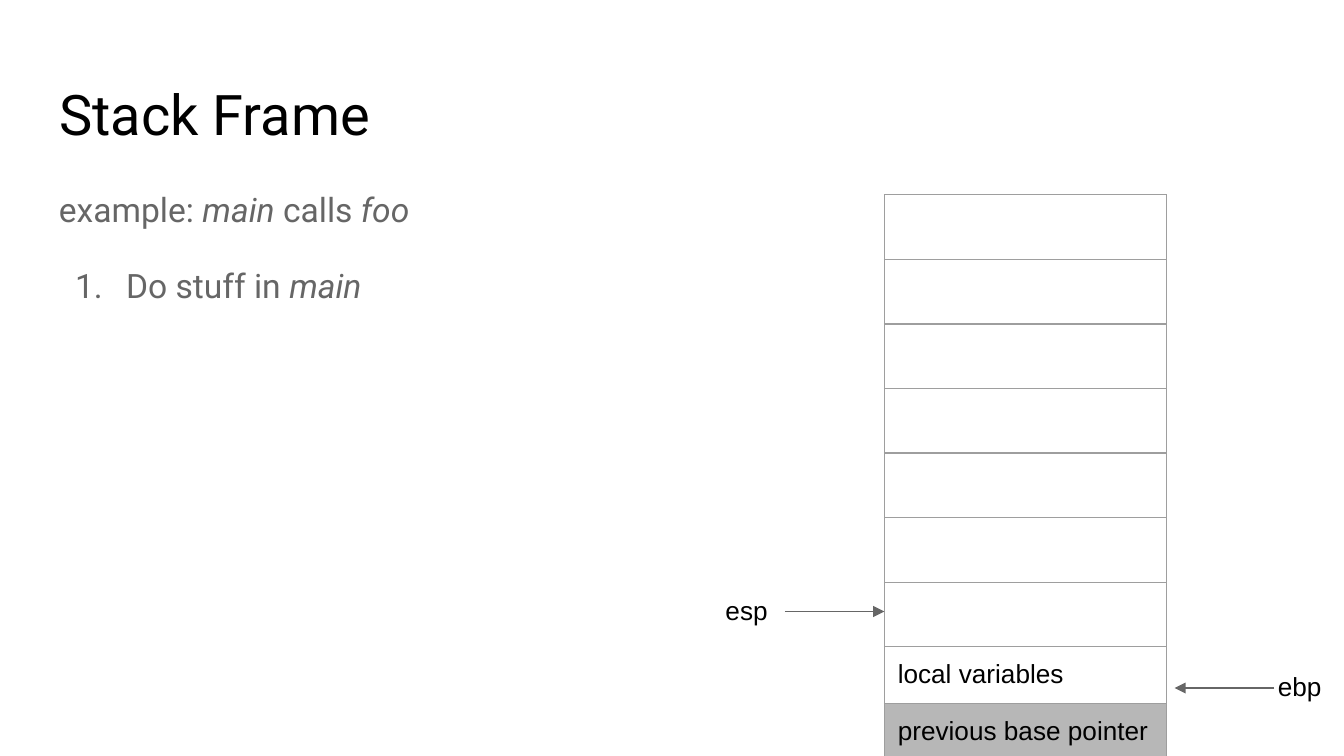
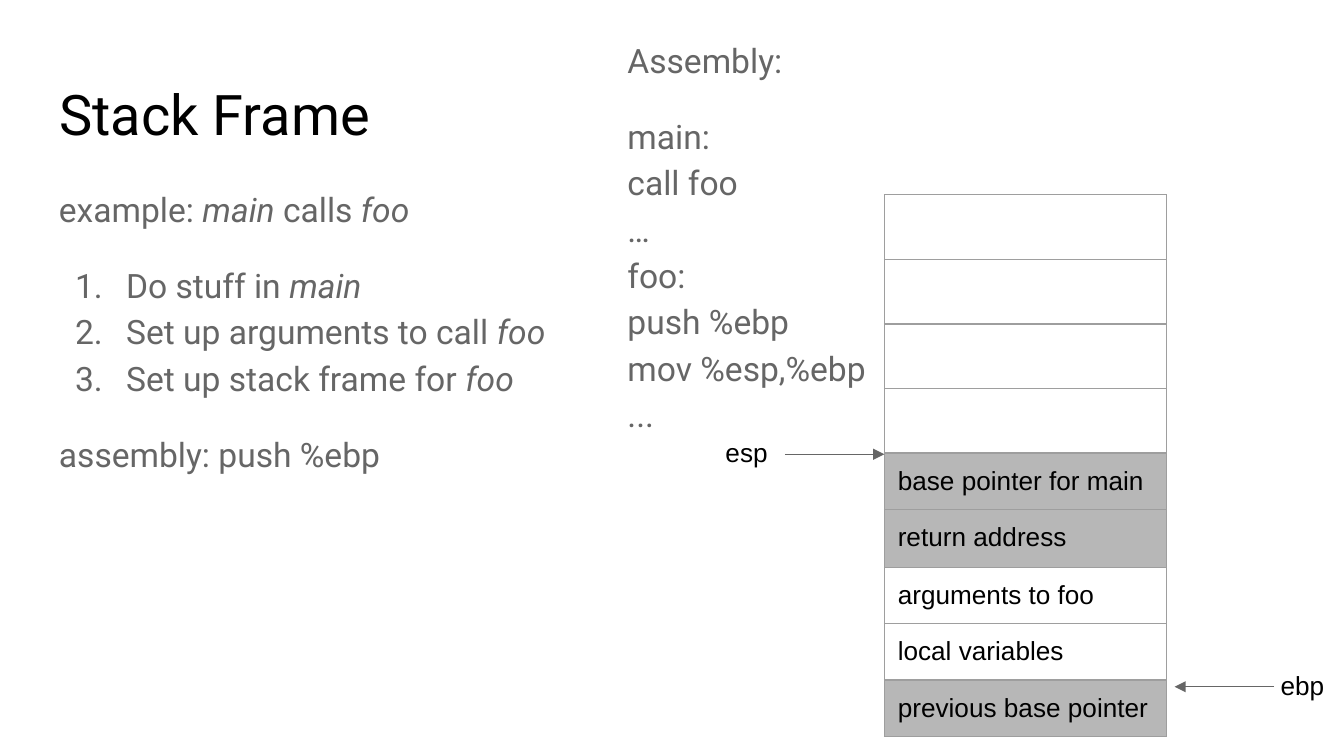
from lxml import etree
from pptx import Presentation
from pptx.dml.color import RGBColor
from pptx.enum.shapes import MSO_CONNECTOR
from pptx.enum.text import MSO_ANCHOR, MSO_AUTO_SIZE, PP_ALIGN
from pptx.oxml.ns import qn
from pptx.util import Inches, Pt

STRAIGHT = MSO_CONNECTOR.STRAIGHT
TOP, MIDDLE = MSO_ANCHOR.TOP, MSO_ANCHOR.MIDDLE
LEFT = PP_ALIGN.LEFT
NO_AUTOFIT = MSO_AUTO_SIZE.NONE

COLORS = {"title": "000000", "body": "666666", "label": "000000",
          "border": "9E9E9E", "saved": "B7B7B7", "background": "FFFFFF"}
TITLE_BOX = (0.34, 0.49, 9.32, 0.63)
BODY_BOX = (0.34, 1.26, 9.32, 3.74)
ASSEMBLY_BOX = (4.57, 0.1, 3.28, 3.28)
STACK_BOX = (6.58, 1.45, 2.1)
ROW_HEIGHTS = [0.43] * 4 + [0.42, 0.43] + [0.42] * 3
LABEL_SIZE = (1.13, 0.46)
ARROW_LENGTH = 0.74
INSET = 0.1
SAVED_ENTRIES = ("base pointer for main", "return address", "previous base pointer")


def color(name):
    """Return the named colour."""
    return RGBColor.from_string(COLORS[name])


def format_paragraph(paragraph, font_name, size, color_name):
    """Give every run of a paragraph its font."""
    for run in paragraph.runs:
        run.font.name = font_name
        run.font.size = Pt(size)
        run.font.color.rgb = color(color_name)


def prepare_frame(text_frame, anchor=TOP):
    """Set the wrapping, insets and anchor of a text frame."""
    text_frame.word_wrap = True
    text_frame.auto_size = NO_AUTOFIT
    text_frame.vertical_anchor = anchor
    text_frame.margin_left = text_frame.margin_right = Inches(INSET)
    text_frame.margin_top = text_frame.margin_bottom = Inches(INSET)


def add_text_box(slide, box, anchor=TOP):
    """Add an empty text box and return its text frame."""
    text_frame = slide.shapes.add_textbox(*map(Inches, box)).text_frame
    prepare_frame(text_frame, anchor)
    return text_frame


def number_paragraph(paragraph):
    """Turn a paragraph into an item of a numbered list."""
    properties = paragraph._p.get_or_add_pPr()
    properties.set("marL", str(Inches(0.5)))
    properties.set("indent", str(-Inches(0.38)))
    bullet_color = etree.SubElement(properties, qn("a:buClr"))
    etree.SubElement(bullet_color, qn("a:srgbClr"), val=COLORS["body"])
    etree.SubElement(properties, qn("a:buFont"), typeface="Roboto")
    etree.SubElement(properties, qn("a:buAutoNum"), type="arabicPeriod")


def add_body_paragraph(text_frame, text, before=0, after=0, numbered=False):
    """Add a body paragraph in which asterisks enclose italic words."""
    paragraph = text_frame.paragraphs[0]
    if paragraph.runs:
        paragraph = text_frame.add_paragraph()
    paragraph.line_spacing = 1.15
    paragraph.space_before = Pt(before)
    paragraph.space_after = Pt(after)
    for index, part in enumerate(text.split("*")):
        if index % 2:
            run = paragraph.add_run()
            run.text = part
            run.font.italic = True
        elif "\n" in part:
            paragraph.text = part
        elif part:
            paragraph.add_run().text = part
    format_paragraph(paragraph, "Roboto", 18, "body")
    if numbered:
        number_paragraph(paragraph)


def add_title(slide, box, text):
    """Place and format the title placeholder."""
    title = slide.shapes.title
    title.left, title.top, title.width, title.height = map(Inches, box)
    prepare_frame(title.text_frame)
    title.text_frame.text = text
    paragraph = title.text_frame.paragraphs[0]
    paragraph.alignment = LEFT
    format_paragraph(paragraph, "Roboto", 30, "title")


def add_steps(slide, box, steps, closing):
    """Add the example line, the numbered steps and a closing line."""
    text_frame = add_text_box(slide, box)
    add_body_paragraph(text_frame, "example: *main* calls *foo*")
    for index, step in enumerate(steps):
        add_body_paragraph(text_frame, step, before=0 if index else 16, numbered=True)
    if closing:
        add_body_paragraph(text_frame, closing, before=16, after=16)


def add_assembly(slide, box, code):
    """Add the assembly listing under its heading."""
    text_frame = add_text_box(slide, box, MIDDLE)
    add_body_paragraph(text_frame, "Assembly:")
    add_body_paragraph(text_frame, code, before=16, after=16)


def add_cell_borders(cell):
    """Draw the four borders of a table cell."""
    properties = cell._tc.get_or_add_tcPr()
    for side in ("a:lnL", "a:lnR", "a:lnT", "a:lnB"):
        border = etree.SubElement(properties, qn(side), w=str(Pt(0.75)))
        fill = etree.SubElement(border, qn("a:solidFill"))
        etree.SubElement(fill, qn("a:srgbClr"), val=COLORS["border"])


def set_cell_text(cell, text):
    """Write a stack entry, or set the font of an empty cell."""
    paragraph = cell.text_frame.paragraphs[0]
    if text:
        paragraph.text = text
        format_paragraph(paragraph, "Arial", 14, "label")
    else:
        ending = etree.SubElement(paragraph._p, qn("a:endParaRPr"), sz="1800")
        etree.SubElement(ending, qn("a:latin"), typeface="Arial")


def add_stack(slide, box, entries):
    """Add the stack table with its entries at the bottom."""
    left, top, width = box
    rows = len(ROW_HEIGHTS)
    table = slide.shapes.add_table(rows, 1, Inches(left), Inches(top), Inches(width),
                                   Inches(sum(ROW_HEIGHTS))).table
    table.first_row = table.horz_banding = False
    texts = [""] * (rows - len(entries)) + entries
    for index, (height, text) in enumerate(zip(ROW_HEIGHTS, texts)):
        table.rows[index].height = Inches(height)
        cell = table.cell(index, 0)
        cell.margin_left = cell.margin_right = Inches(INSET)
        cell.margin_top = cell.margin_bottom = Inches(INSET)
        add_cell_borders(cell)
        if text in SAVED_ENTRIES:
            cell.fill.solid()
            cell.fill.fore_color.rgb = color("saved")
        else:
            cell.fill.background()
        set_cell_text(cell, text)


def add_pointer(slide, name, label_left, tail_left, direction, middle):
    """Add a register label and its arrow towards the stack."""
    width, height = LABEL_SIZE
    arrow = slide.shapes.add_connector(
        STRAIGHT, Inches(tail_left), Inches(middle),
        Inches(tail_left + direction * ARROW_LENGTH), Inches(middle))
    arrow.line.color.rgb = color("body")
    arrow.line.width = Pt(0.75)
    etree.SubElement(arrow.line._get_or_add_ln(), qn("a:tailEnd"), type="triangle")
    etree.SubElement(arrow._element.spPr, qn("a:effectLst"))
    text_frame = add_text_box(slide, (label_left, middle - height / 2, width, height))
    text_frame.text = name
    format_paragraph(text_frame.paragraphs[0], "Arial", 14, "label")


def add_stack_slide(presentation, steps, entries, esp_middle, ebp_left, ebp_middle,
                    closing="", code=""):
    """Add a slide showing the steps beside the state of the stack."""
    slide = presentation.slides.add_slide(presentation.slide_layouts[5])
    slide.background.fill.solid()
    slide.background.fill.fore_color.rgb = color("background")
    add_title(slide, TITLE_BOX, "Stack Frame")
    add_steps(slide, BODY_BOX, steps, closing)
    add_stack(slide, STACK_BOX, entries)
    add_pointer(slide, "esp", 5.3, 5.84, 1, esp_middle)
    add_pointer(slide, "ebp", ebp_left, 9.48, -1, ebp_middle)
    if code:
        add_assembly(slide, ASSEMBLY_BOX, code)


def main():
    """Build and save the presentation."""
    presentation = Presentation()
    presentation.slide_width = Inches(10)
    presentation.slide_height = Inches(10 * 9 / 16)
    steps = ["Do stuff in *main*", "Set up arguments to call *foo*",
             "Set up stack frame for *foo*"]
    entries = ["base pointer for main", "return address", "arguments to foo",
               "local variables", "previous base pointer"]
    add_stack_slide(presentation, steps[:1], entries[-2:], 4.55, 9.41, 5.12)
    add_stack_slide(presentation, steps, entries, 3.38, 9.43, 5.11,
                    closing="assembly: push %ebp",
                    code="main:\ncall foo\n…\nfoo:\npush %ebp\nmov %esp,%ebp\n...")
    presentation.save("out.pptx")


if __name__ == "__main__":
    main()
